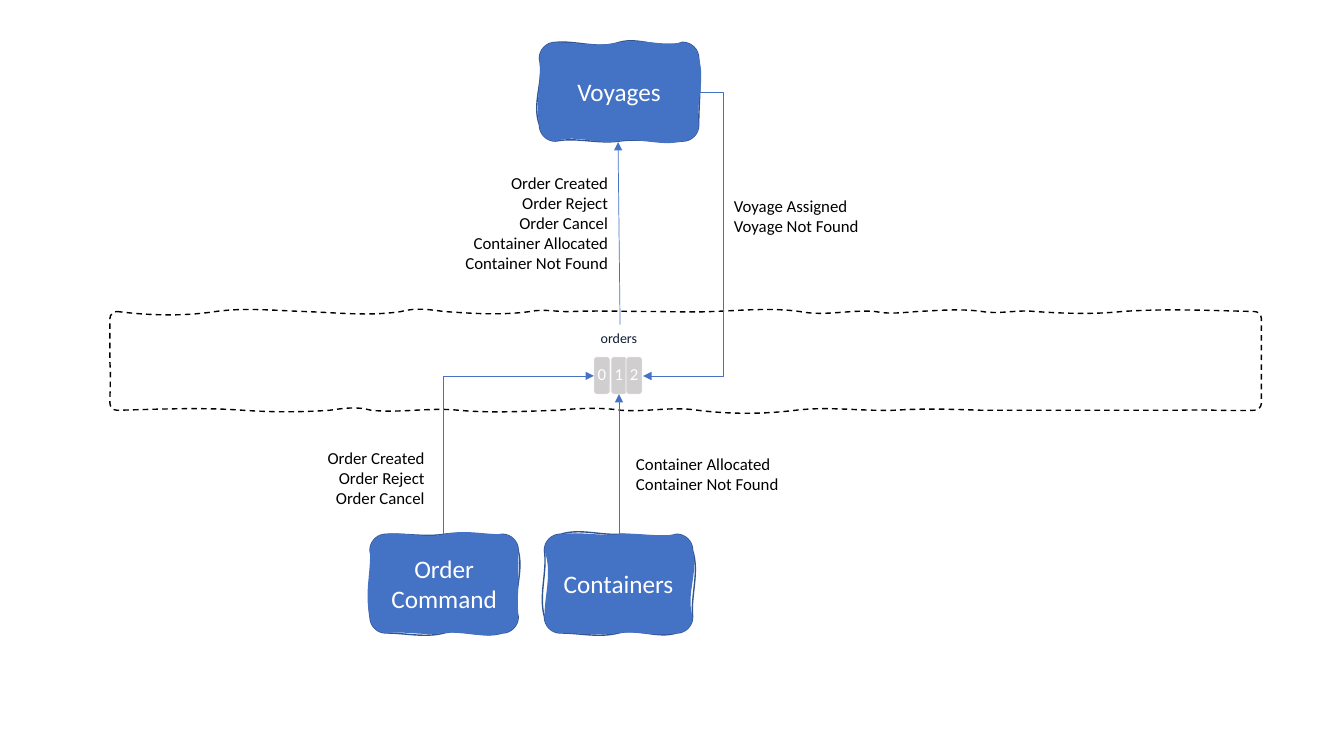
from lxml.etree import SubElement
from pptx import Presentation
from pptx.dml.color import RGBColor
from pptx.enum.dml import MSO_LINE
from pptx.enum.shapes import MSO_CONNECTOR, MSO_SHAPE
from pptx.enum.text import MSO_ANCHOR, MSO_AUTO_SIZE, PP_ALIGN
from pptx.oxml.ns import qn
from pptx.util import Inches, Pt

BLUE = RGBColor(0x44, 0x72, 0xC4)
DARK_BLUE = RGBColor(0x32, 0x54, 0x91)
GREY = RGBColor(0xD0, 0xCE, 0xCE)
NAVY = RGBColor(0x10, 0x1C, 0x32)
BLACK = RGBColor(0, 0, 0)
WHITE = RGBColor(255, 255, 255)
FONT = "Calibri"
BOX_HEIGHT = 0.98

# An edge is a clockwise list of waves: share of the edge, then two
# deviations in hundredths of an inch. Order: top, right, bottom, left.
# Each service has one set of edges for its line and one for its fill.
SERVICES = [
    ("Order Command", 3.67, 5.3, 1.47,
     ([(1, -1, 3), (1, -3, 4)], [(1, 6, -6)], [(1, 6, -5), (1, 5, 0)], [(1, -4, 5)]),
     ([(1, -3, 5), (1, -5, 0)], [(1, 1, -1)], [(1, 6, -2), (1, 3, -2)], [(1, -6, 1)])),
    ("Containers", 5.4, 5.3, 1.47,
     ([(1, -6, 1), (1, -1, 6)], [(1, 7, -2)], [(1, 6, -5), (1, 5, 0)], [(1, -6, 3)]),
     ([(1, -3, 2), (1, -2, 3)], [(1, 6, -7)], [(1, 4, -2), (1, 3, 0)], [(1, 0, 8)])),
    ("Voyages", 5.35, 0.42, 1.58,
     ([(1, -2, 7), (1, -6, 8)], [(1, 3, 0)], [(1, 2, -3), (1, 3, -4)], [(1, -8, 5)]),
     ([(1, 0, 5), (1, -4, 4)], [(1, 7, -3)], [(1, 6, -4), (1, 4, -7)], [(1, -5, 3)])),
]
BAND = (1.09, 3.09, 11.42, BOX_HEIGHT)
BAND_EDGES = (
    [(98, 4, 5), (87, -4, -1), (97, 1, 5), (42, -4, -2), (86, 2, 4), (42, -3, 1),
     (75, -1, 0), (64, 0, 1), (86, -1, -4), (75, 5, -2), (42, 3, 1), (64, -1, -3),
     (52, 3, -2), (87, 2, 3), (131, -3, -1)],
    [(40, 0, 0), (45, 0, 0)],
    [(75, 1, -1), (98, 0, 0), (97, 0, 0), (87, -1, -2), (98, 1, -4), (97, 4, 4),
     (76, -4, 2), (63, -3, -2), (98, 1, 3), (87, -3, 3), (41, -4, -2), (86, 2, 2),
     (125, -3, -1)],
    [(41, 0, 1), (44, 0, 0)],
)
PARTITIONS = [("0", 5.89), ("1", 6.06), ("2", 6.21)]
ORDER_EVENTS = ["Order Created", "Order Reject", "Order Cancel"]
CONTAINER_EVENTS = "Container Allocated\vContainer Not Found"
VOYAGE_EVENTS = "Voyage Assigned\vVoyage Not Found"
TOPIC_LABEL = (["orders"], 5.86, 3.22, 0.57, 0.27, PP_ALIGN.LEFT, 10, NAVY)
EVENT_LABELS = [  # paragraphs, left, top, width, height, alignment, size, colour
    (ORDER_EVENTS, 3.02, 4.39, 1.29, 0.71, PP_ALIGN.RIGHT, 12, BLACK),
    ([CONTAINER_EVENTS], 6.21, 4.45, 1.63, 0.5, PP_ALIGN.LEFT, 12, BLACK),
    (ORDER_EVENTS + [CONTAINER_EVENTS], 4.43, 1.66, 1.7, 1.11, PP_ALIGN.RIGHT, 12, BLACK),
    ([VOYAGE_EVENTS], 7.18, 1.89, 1.45, 0.5, PP_ALIGN.LEFT, 12, BLACK),
]
ARROWS = [  # start, end, preset, bend, quarter turns
    ((6.92, 0.92), (6.38, 3.73), "bentConnector3", -46500, 0),
    ((5.93, 5.26), (4.36, 3.77), "bentConnector2", None, 1),
    ((6.14, 5.3), (6.14, 3.91), "line", None, 0),
    ((6.15, 3.22), (6.13, 1.41), "line", None, 0),
]


def wavy_curves(width, height, radius, edges):
    """Cubic curves, clockwise, of a rounded rectangle whose edges wave."""
    corners = [(width, 0), (width, height), (0, height), (0, 0)]
    directions = [(1, 0), (0, 1), (-1, 0), (0, -1)]
    x, y = radius, 0
    curves = []
    for index, waves in enumerate(edges):
        dx, dy = directions[index]
        next_dx, next_dy = directions[(index + 1) % 4]
        length = (width if dx else height) - 2 * radius
        total = sum(wave[0] for wave in waves)
        for share, *bumps in waves:
            span = length * share / total
            handles = [(x + dx * span * third / 3 + abs(dy) * bump / 100,
                        y + dy * span * third / 3 + abs(dx) * bump / 100)
                       for third, bump in zip((1, 2), bumps)]
            x, y = x + dx * span, y + dy * span
            curves.append([*handles, (x, y)])
        corner_x, corner_y = corners[index]
        pull = 0.55 * radius
        start_handle = (x + dx * pull, y + dy * pull)
        x, y = corner_x + next_dx * radius, corner_y + next_dy * radius
        curves.append([start_handle, (x - next_dx * pull, y - next_dy * pull), (x, y)])
    return curves


def add_wavy(slide, frame, radius, paths, fill, line):
    """Add one freeform; paths pairs the edges with path attributes."""
    left, top, width, height = map(Inches, frame)
    builder = slide.shapes.build_freeform(left, top, scale=1.0)
    builder.add_line_segments([(left + width, top), (left + width, top + height),
                               (left, top + height)], close=True)
    shape = builder.convert_to_shape()
    path_list = shape._element.spPr.find(qn("a:custGeom")).find(qn("a:pathLst"))
    path_list.remove(path_list[0])
    for edges, attributes in paths:
        path = SubElement(path_list, qn("a:path"), w=str(width), h=str(height), **attributes)
        add_points(path, "moveTo", [(radius, 0)])
        for curve in wavy_curves(frame[2], frame[3], radius, edges):
            add_points(path, "cubicBezTo", curve)
        SubElement(path, qn("a:close"))
    style(shape, fill, line, 1)
    return shape


def add_points(path, command, points):
    parent = SubElement(path, qn(f"a:{command}"))
    for x, y in points:
        SubElement(parent, qn("a:pt"), x=str(Inches(x)), y=str(Inches(y)))


def style(shape, fill, line, line_width):
    shape.shadow.inherit = False
    if fill is None:
        shape.fill.background()
    else:
        shape.fill.solid()
        shape.fill.fore_color.rgb = fill
    shape.line.color.rgb = line
    shape.line.width = Pt(line_width)


def write(frame, paragraphs, size, color, alignment):
    frame.text = "\n".join(paragraphs)
    for paragraph in frame.paragraphs:
        paragraph.alignment = alignment
        paragraph.font.name = FONT
        paragraph.font.size = Pt(size)
        paragraph.font.color.rgb = color


def add_label(shapes, paragraphs, left, top, width, height, alignment, size, color):
    label = shapes.add_textbox(*map(Inches, (left, top, width, height)))
    label.text_frame.word_wrap = alignment == PP_ALIGN.RIGHT
    label.text_frame.auto_size = MSO_AUTO_SIZE.SHAPE_TO_FIT_TEXT
    write(label.text_frame, paragraphs, size, color, alignment)


def add_partition(shapes, number, left):
    partition = shapes.add_shape(
        MSO_SHAPE.ROUNDED_RECTANGLE, *map(Inches, (left, 3.54, 0.16, 0.37)))
    style(partition, GREY, WHITE, 0.5)
    frame = partition.text_frame
    frame.margin_left = frame.margin_right = frame.margin_top = frame.margin_bottom = 0
    frame.vertical_anchor = MSO_ANCHOR.MIDDLE
    write(frame, [number], 12, WHITE, PP_ALIGN.CENTER)
    frame.paragraphs[0].line_spacing = 0.9


def add_arrow(slide, start, end, preset, bend, turns):
    kind = MSO_CONNECTOR.STRAIGHT if preset == "line" else MSO_CONNECTOR.ELBOW
    arrow = slide.shapes.add_connector(kind, *map(Inches, start + end))
    arrow.line.color.rgb = BLUE
    arrow.line.width = Pt(0.5)
    properties = arrow._element.spPr
    if turns:
        properties.find(qn("a:xfrm")).set("rot", str(turns * 5400000))
    geometry = properties.find(qn("a:prstGeom"))
    geometry.set("prst", preset)
    if bend is not None:
        SubElement(geometry.find(qn("a:avLst")), qn("a:gd"), name="adj1", fmla=f"val {bend}")
    SubElement(properties.find(qn("a:ln")), qn("a:tailEnd"), type="triangle")
    SubElement(properties, qn("a:effectLst"))


def main():
    presentation = Presentation()
    presentation.slide_width, presentation.slide_height = Inches(13.33), Inches(7.5)
    slide = presentation.slides.add_slide(presentation.slide_layouts[6])

    for name, left, top, width, outline, body in SERVICES:
        paths = [(outline, {"fill": "none"}), (body, {"stroke": "0"})]
        service = add_wavy(slide, (left, top, width, BOX_HEIGHT), 0.16, paths, BLUE, DARK_BLUE)
        service.text_frame.word_wrap = True
        service.text_frame.vertical_anchor = MSO_ANCHOR.MIDDLE
        write(service.text_frame, [name], 18, WHITE, PP_ALIGN.CENTER)

    band = add_wavy(slide, BAND, 0.07, [(BAND_EDGES, {})], None, BLACK)
    band.line.dash_style = MSO_LINE.DASH

    topic = slide.shapes.add_group_shape()
    for number, left in PARTITIONS:
        add_partition(topic.shapes, number, left)
    add_label(topic.shapes, *TOPIC_LABEL)

    for label in EVENT_LABELS:
        add_label(slide.shapes, *label)
    for arrow in ARROWS:
        add_arrow(slide, *arrow)

    presentation.save("out.pptx")


if __name__ == "__main__":
    main()
